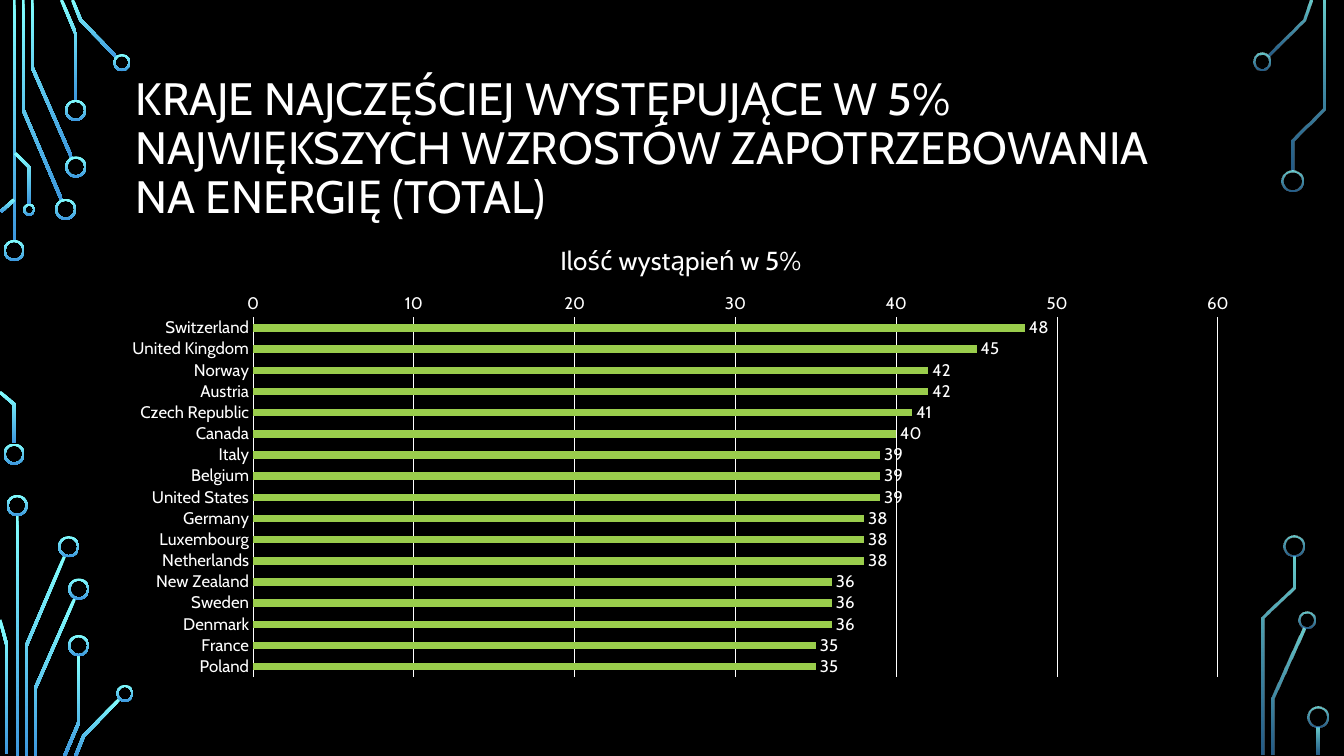
"""Builds a slide with a ranked bar chart between circuit-style borders."""
from collections import namedtuple
from itertools import pairwise
from lxml.etree import SubElement
from pptx import Presentation
from pptx.chart.data import CategoryChartData
from pptx.dml.color import RGBColor
from pptx.enum.chart import XL_CHART_TYPE, XL_LABEL_POSITION, XL_TICK_MARK
from pptx.enum.shapes import MSO_SHAPE
from pptx.enum.text import MSO_ANCHOR
from pptx.oxml.ns import qn
from pptx.util import Inches, Pt

Box = namedtuple("Box", "left top width height")
Trace = namedtuple("Trace", "node_size corners")

FONT = "Cabin"
WHITE, BLACK, GREEN = "FFFFFF", "000000", "9ACD4C"
GLOW = ("82FFFF", "3D97DE")
OPAQUE, DIMMED = (100, 100), (80, 60)

SLIDE_WIDTH, SLIDE_HEIGHT = 13.33, 7.5
TITLE_BOX = Box(1.25, 0.68, 10.83, 1.62)
CHART_BOX = Box(1.09, 2.21, 11.33, 4.61)
PLOT_BOX = Box(2.51, 3.15, 9.57, 3.57)

TITLE = ("KRAJE NAJCZĘŚCIEJ WYSTĘPUJĄCE W 5% NAJWIĘKSZYCH WZROSTÓW "
         "ZAPOTRZEBOWANIA NA ENERGIĘ (TOTAL)")
SERIES = "Ilość wystąpień w 5%"
COUNTRIES = {
    "Switzerland": 48, "United Kingdom": 45, "Norway": 42, "Austria": 42,
    "Czech Republic": 41, "Canada": 40, "Italy": 39, "Belgium": 39,
    "United States": 39, "Germany": 38, "Luxembourg": 38, "Netherlands": 38,
    "New Zealand": 36, "Sweden": 36, "Denmark": 36, "France": 35, "Poland": 35,
}

TRACE_WIDTH, RING_WIDTH = 0.03, 0.02
NO_NODE, TINY, SMALL, LARGE = 0, 0.12, 0.17, 0.21
MIRROR_SHIFT = 0.03

CORNER_BUNDLE = [
    Trace(LARGE, [(0.14, 0), (0.14, 2.38)]),
    Trace(LARGE, [(0.23, 0), (0.23, 1.09), (0.61, 1.98)]),
    Trace(LARGE, [(0.32, 0), (0.32, 0.67), (0.71, 1.56)]),
    Trace(LARGE, [(0.61, 0), (0.75, 0.33), (0.75, 0.99)]),
    Trace(SMALL, [(0.72, 0), (0.8, 0.2), (1.15, 0.56)]),
]
LEFT_BRANCHES = [
    Trace(NO_NODE, [(0.01, 2.1), (0.14, 1.98)]),
    Trace(TINY, [(0.15, 1.52), (0.29, 1.66), (0.29, 2.02)]),
    Trace(LARGE, [(0, 3.89), (0.14, 4.01), (0.14, 4.4)]),
    Trace(NO_NODE, [(0, 6.15), (0.07, 6.41), (0.07, 7.48)]),
]
RIGHT_BRANCHES = [
    Trace(SMALL, [(13, 0), (12.93, 0.2), (12.58, 0.55)]),
    Trace(LARGE, [(13.13, 0), (13.13, 1.08), (12.82, 1.39), (12.82, 1.69)]),
    Trace(LARGE, [(12.53, 7.49), (12.53, 6.13), (12.83, 5.83), (12.83, 5.52)]),
    Trace(SMALL, [(12.63, 7.49), (12.63, 6.93), (12.93, 6.23)]),
    Trace(LARGE, [(13.07, 7.49), (13.07, 7.22)]),
]


def color(value):
    """Return the colour of a hex string."""
    return RGBColor.from_string(value)


def apply(target, **values):
    """Set attributes of the target from format values."""
    for name, value in values.items():
        setattr(target, name, value)


def paint(fill, value):
    """Make a fill solid in one colour."""
    fill.solid()
    fill.fore_color.rgb = color(value)


def style_font(font, size):
    """Give a font the slide's typeface and white colour."""
    apply(font, name=FONT, size=Pt(size), bold=False)
    font.color.rgb = color(WHITE)


def add_glow(shape, opacities):
    """Fill a shape with the vertical glow and drop its outline."""
    shape.shadow.inherit = False
    shape.line.fill.background()
    shape.fill.gradient()
    shape.fill.gradient_angle = 270
    for stop, value in zip(shape.fill.gradient_stops, GLOW):
        stop.color.rgb = color(value)
    stop_colors = shape._element.spPr.iter(qn("a:srgbClr"))
    for stop_color, opacity in zip(stop_colors, opacities):
        SubElement(stop_color, qn("a:alpha"), val=str(opacity * 1000))


def mirror_down(trace):
    """Reflect a trace from the top edge to the bottom edge."""
    corners = [(x + MIRROR_SHIFT, SLIDE_HEIGHT - y) for x, y in trace.corners]
    return Trace(trace.node_size, corners)


def trace_directions(corners):
    """Return the unit direction of each segment as a complex number."""
    points = [complex(x, y) for x, y in corners]
    return [(end - start) / abs(end - start) for start, end in pairwise(points)]


def trace_outline(corners):
    """Widen a centre line into an outline with mitred bends."""
    normals = [direction * 1j for direction in trace_directions(corners)]
    left_side, right_side = [], []
    joints = pairwise([normals[0], *normals, normals[-1]])
    for (x, y), (before, after) in zip(corners, joints):
        cosine = (before * after.conjugate()).real
        offset = (before + after) / (1 + cosine) * TRACE_WIDTH / 2
        left_side.append((x + offset.real, y + offset.imag))
        right_side.append((x - offset.real, y - offset.imag))
    return left_side + right_side[::-1]


def add_node(slide, trace, opacities):
    """Add a ring that continues the last segment of a trace."""
    radius = trace.node_size / 2
    center = complex(*trace.corners[-1]) + trace_directions(trace.corners)[-1] * radius
    box = Box(center.real - radius, center.imag - radius, trace.node_size, trace.node_size)
    node = slide.shapes.add_shape(MSO_SHAPE.DONUT, *map(Inches, box))
    node.adjustments[0] = RING_WIDTH / trace.node_size
    add_glow(node, opacities)


def add_circuit(slide, traces, opacities):
    """Add circuit traces and the nodes at their ends."""
    for trace in traces:
        start, *others = [tuple(map(Inches, point)) for point in trace_outline(trace.corners)]
        builder = slide.shapes.build_freeform(*start)
        builder.add_line_segments(others, close=True)
        add_glow(builder.convert_to_shape(), opacities)
        if trace.node_size:
            add_node(slide, trace, opacities)


def add_title(slide):
    """Add the slide title."""
    frame = slide.shapes.add_textbox(*map(Inches, TITLE_BOX)).text_frame
    apply(frame, word_wrap=True, vertical_anchor=MSO_ANCHOR.MIDDLE)
    heading = frame.paragraphs[0]
    heading.line_spacing = 0.9
    run = heading.add_run()
    run.text = TITLE
    style_font(run.font, 32.4)


def place_plot(chart):
    """Fix the inner plot area as shares of the chart box."""
    plot_area = chart._chartSpace.chart.plotArea
    layout = plot_area.find(qn("c:layout"))
    if layout is None:
        layout = SubElement(plot_area, qn("c:layout"))
        plot_area.insert(0, layout)
    manual = SubElement(layout, qn("c:manualLayout"))
    values = {
        "layoutTarget": "inner", "xMode": "edge", "yMode": "edge",
        "x": (PLOT_BOX.left - CHART_BOX.left) / CHART_BOX.width,
        "y": (PLOT_BOX.top - CHART_BOX.top) / CHART_BOX.height,
        "w": PLOT_BOX.width / CHART_BOX.width,
        "h": PLOT_BOX.height / CHART_BOX.height,
    }
    for name, value in values.items():
        SubElement(manual, qn(f"c:{name}"), val=str(value))


def style_axes(chart):
    """Style the country axis and the count axis."""
    countries, counts = chart.category_axis, chart.value_axis
    for axis in (countries, counts):
        apply(axis, major_tick_mark=XL_TICK_MARK.NONE, minor_tick_mark=XL_TICK_MARK.NONE)
        style_font(axis.tick_labels.font, 12)
    apply(countries, reverse_order=True, has_major_gridlines=False)
    apply(counts, minimum_scale=0, maximum_scale=60, major_unit=10, has_major_gridlines=True)
    counts.format.line.fill.background()
    for line in (countries.format.line, counts.major_gridlines.format.line):
        line.width = Pt(0.75)
        line.color.rgb = color(WHITE)


def add_country_chart(slide):
    """Add the bar chart of occurrences by country."""
    data = CategoryChartData()
    data.categories = list(COUNTRIES)
    data.add_series(SERIES, list(COUNTRIES.values()))
    chart = slide.shapes.add_chart(
        XL_CHART_TYPE.BAR_CLUSTERED, *map(Inches, CHART_BOX), data).chart
    apply(chart, has_legend=False, has_title=True)
    style_font(chart.font, 10)
    caption = chart.chart_title.text_frame.paragraphs[0].add_run()
    caption.text = SERIES
    style_font(caption.font, 18.6)
    style_axes(chart)
    place_plot(chart)
    plot = chart.plots[0]
    apply(plot, gap_width=182, vary_by_categories=False, has_data_labels=True)
    apply(plot.data_labels, show_value=True, position=XL_LABEL_POSITION.OUTSIDE_END)
    style_font(plot.data_labels.font, 12)
    paint(plot.series[0].format.fill, GREEN)


def main():
    """Build and save the slide."""
    deck = Presentation()
    apply(deck, slide_width=Inches(SLIDE_WIDTH), slide_height=Inches(SLIDE_HEIGHT))
    slide = deck.slides.add_slide(deck.slide_layouts[6])
    paint(slide.background.fill, BLACK)
    add_circuit(slide, CORNER_BUNDLE, OPAQUE)
    add_circuit(slide, map(mirror_down, CORNER_BUNDLE), OPAQUE)
    add_circuit(slide, LEFT_BRANCHES, OPAQUE)
    add_circuit(slide, RIGHT_BRANCHES, DIMMED)
    add_title(slide)
    add_country_chart(slide)
    deck.save("out.pptx")


if __name__ == "__main__":
    main()
